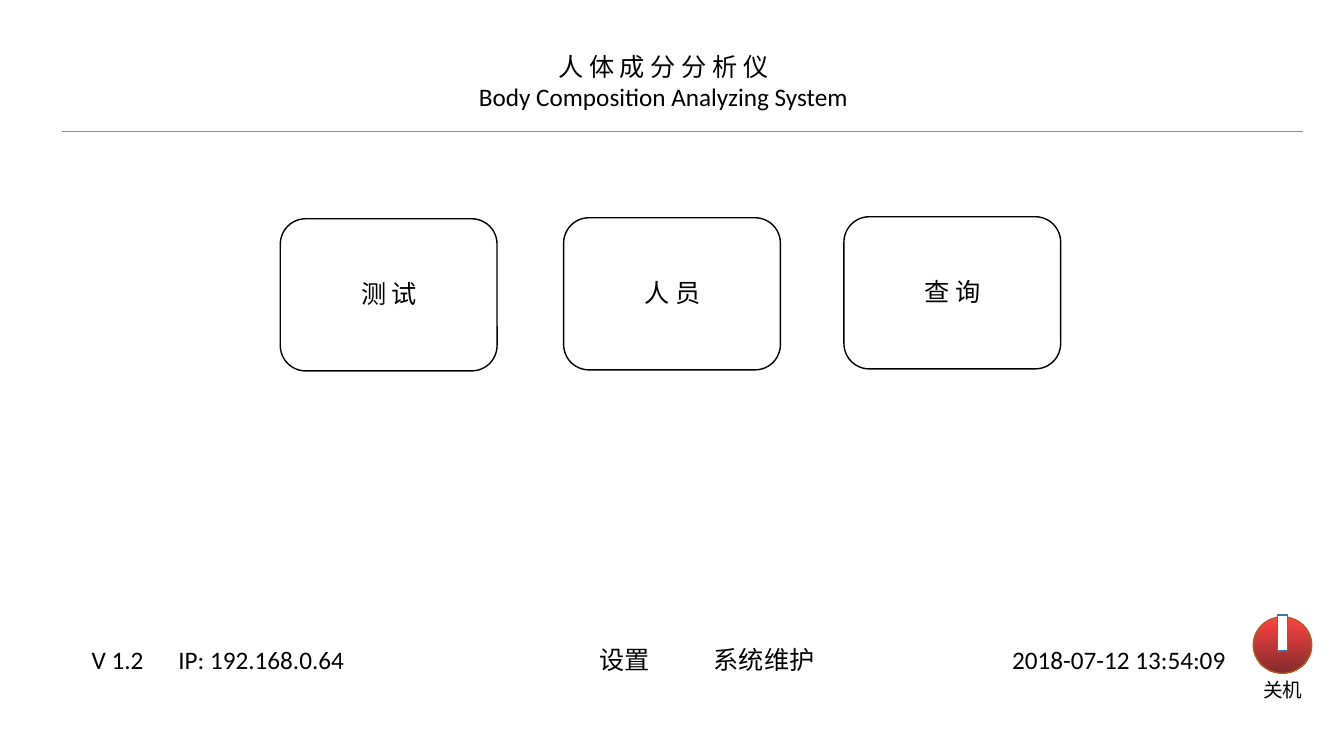
"""Build the home screen of a body composition analyzing system."""
from lxml.etree import SubElement
from pptx import Presentation
from pptx.dml.color import RGBColor
from pptx.enum.shapes import MSO_CONNECTOR, MSO_SHAPE as SHAPE
from pptx.enum.text import PP_ALIGN as ALIGN
from pptx.oxml.ns import qn
from pptx.util import Inches, Pt

LATIN, CHINESE = "Calibri", "Noto Sans CJK SC"
BLACK, WHITE = "000000", "FFFFFF"

TITLE = [("人 体 成 分 分 析 仪", CHINESE), ("Body Composition Analyzing System", LATIN)]
BUTTONS = [("测 试", 2.78, 2.17), ("人 员", 5.59, 2.16), ("查 询", 8.37, 2.15)]
BUTTON_SIZE = (2.15, 1.51)
STATUS = ["V 1.2", "IP: 192.168.0.64", "设置", "系统维护", "2018-07-12 13:54:09"]
STATUS_TABS = [0.86, 5.04, 6.17, 9.13]
POWER_LABEL = "关机"
POWER_GRADIENT = ["FE4444", "832B2B"]

deck = Presentation()
deck.slide_width, deck.slide_height = Inches(13.33), Inches(7.5)
slide = deck.slides.add_slide(deck.slide_layouts[6])


def color(hex_code):
    return RGBColor.from_string(hex_code)


def add_outlined(preset, box, outline, fill=WHITE):
    shape = slide.shapes.add_shape(preset, *map(Inches, box))
    shape.shadow.inherit = False
    shape.fill.solid()
    shape.fill.fore_color.rgb = color(fill)
    shape.line.color.rgb = color(outline)
    shape.line.width = Pt(1)
    return shape


def add_label(lines, box, size=18, align=ALIGN.LEFT):
    frame = slide.shapes.add_textbox(*map(Inches, box)).text_frame
    frame.word_wrap = True
    for number, (words, typeface) in enumerate(lines):
        paragraph = frame.add_paragraph() if number else frame.paragraphs[0]
        paragraph.alignment = align
        run = paragraph.add_run()
        run.text = words
        for key, value in {"name": typeface, "size": Pt(size)}.items():
            setattr(run.font, key, value)
        run.font.color.rgb = color(BLACK)
        SubElement(run.font._element, qn("a:ea"), typeface=CHINESE)
    return frame


for caption, left, top in BUTTONS:
    add_outlined(SHAPE.ROUNDED_RECTANGLE, (left, top, *BUTTON_SIZE), BLACK)
    add_label([(caption, LATIN)], (left + 0.13, top + 0.54, 1.9, 0.4), align=ALIGN.CENTER)

status = add_label([("\t".join(STATUS), LATIN)], (0.81, 6.34, 11.95, 0.4))
tabs = SubElement(status.paragraphs[0]._p.get_or_add_pPr(), qn("a:tabLst"))
for stop in STATUS_TABS:
    SubElement(tabs, qn("a:tab"), pos=str(Inches(stop)), algn="l")

power = add_outlined(SHAPE.OVAL, (12.43, 6.12, 0.58, 0.56), "AF5C24")
power.fill.gradient()
power.fill.gradient_angle = 270
for stop, shade in zip(power.fill.gradient_stops, POWER_GRADIENT):
    stop.color.rgb = color(shade)
add_label([(POWER_LABEL, LATIN)], (12.43, 6.68, 0.72, 0.34), size=14)

add_label(TITLE, (2.78, 0.46, 7.6, 0.71), align=ALIGN.CENTER)
rule = slide.shapes.add_connector(MSO_CONNECTOR.STRAIGHT, *map(Inches, (0.62, 1.3, 12.92, 1.3)))
rule.line.color.rgb = color("5B9BD5")
rule.line.width = Pt(0.5)
SubElement(rule._element.spPr, qn("a:effectLst"))

add_outlined(SHAPE.RECTANGLE, (12.67, 6.1, 0.1, 0.36), "43739E")

deck.save("out.pptx")
